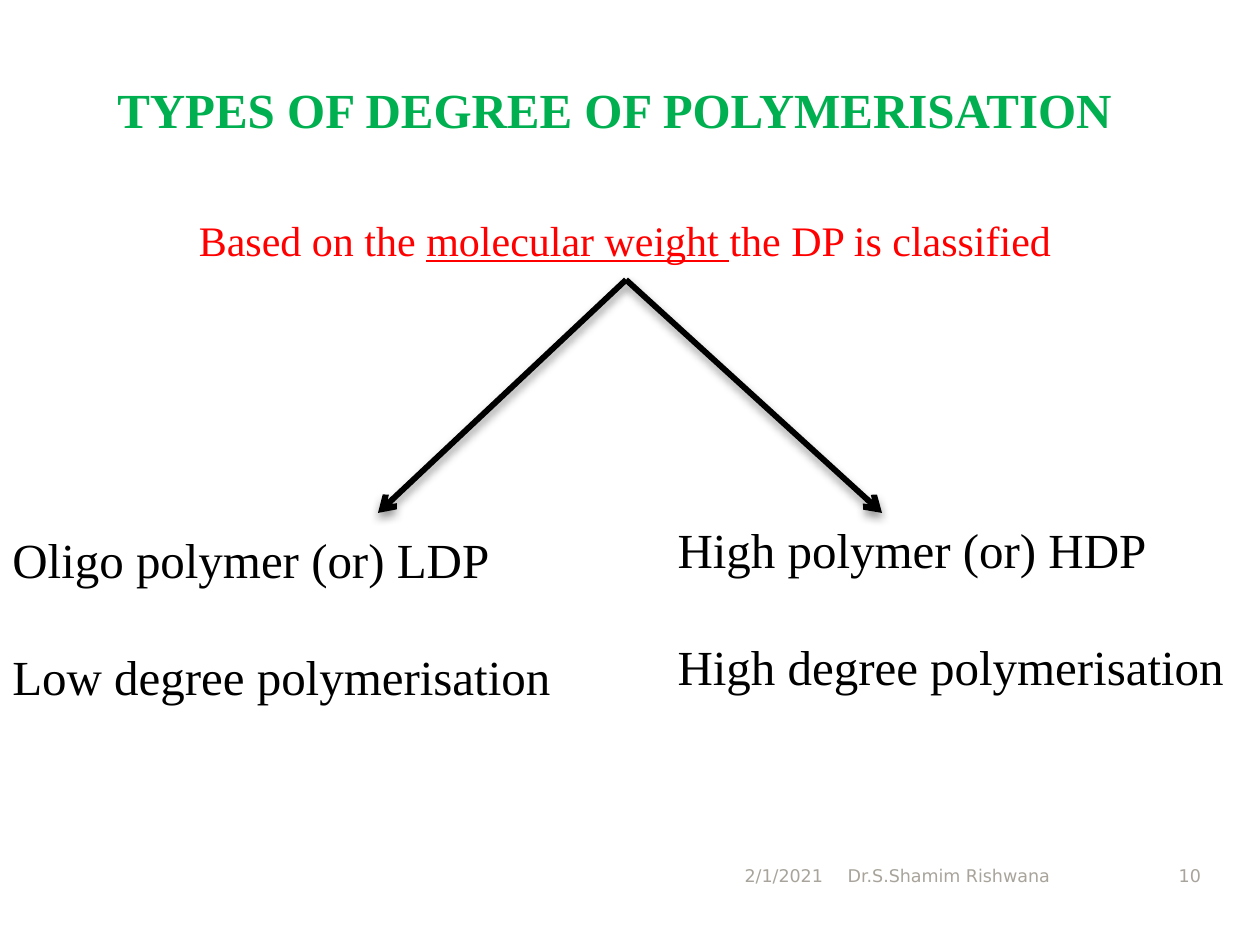
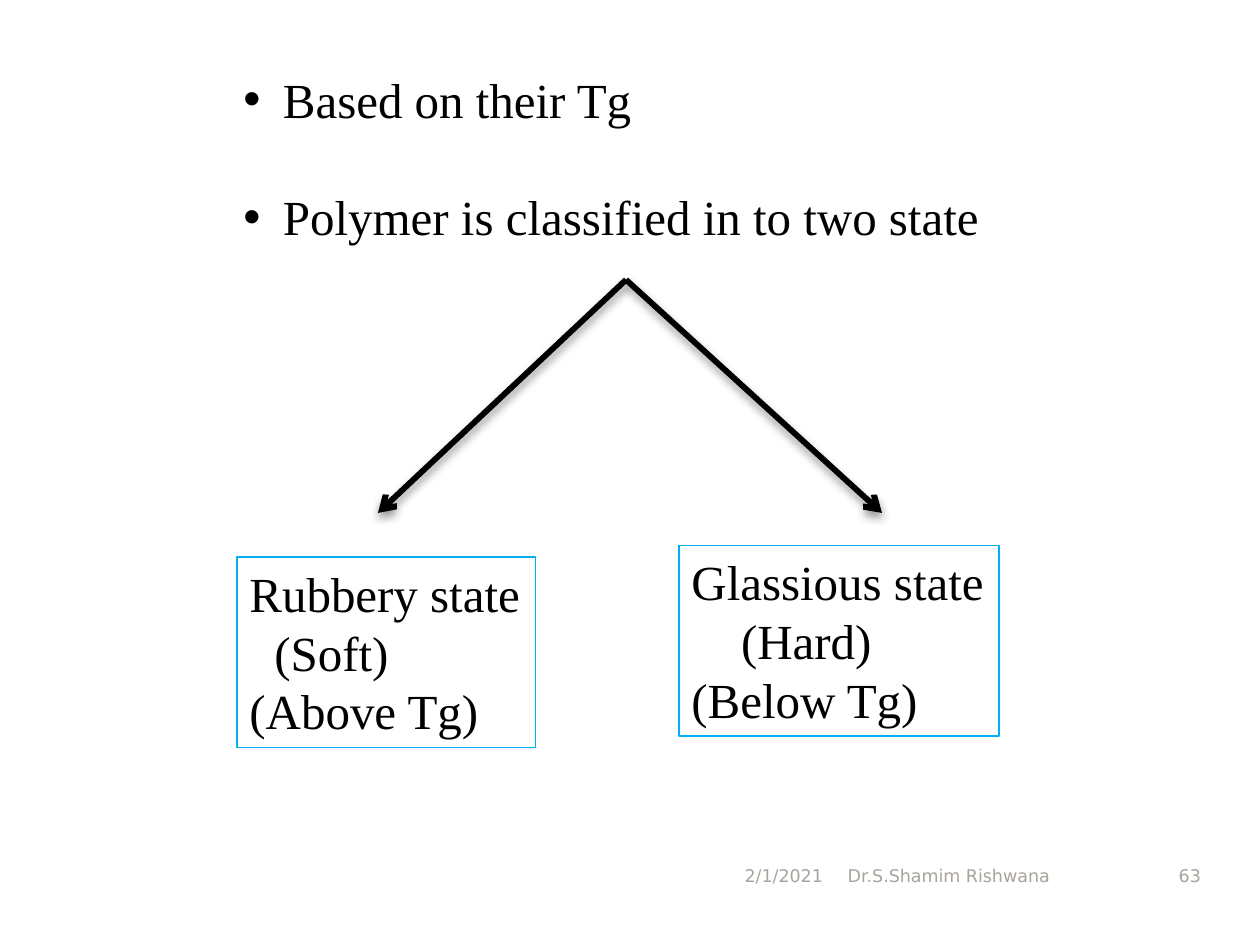
from dataclasses import dataclass

from lxml import etree
from pptx import Presentation
from pptx.dml.color import RGBColor
from pptx.enum.shapes import MSO_CONNECTOR, MSO_SHAPE
from pptx.enum.text import MSO_ANCHOR, MSO_AUTO_SIZE, PP_ALIGN
from pptx.oxml.ns import qn
from pptx.util import Cm, Pt

LEFT, RIGHT = PP_ALIGN.LEFT, PP_ALIGN.RIGHT
TOP, BOTTOM = MSO_ANCHOR.TOP, MSO_ANCHOR.BOTTOM
STRAIGHT, RECTANGLE = MSO_CONNECTOR.STRAIGHT, MSO_SHAPE.RECTANGLE
TITLE_ONLY, TITLE_AND_CONTENT = 5, 1


@dataclass(frozen=True)
class Theme:
    green: RGBColor = RGBColor(0x00, 0xB0, 0x50)
    red: RGBColor = RGBColor(0xFF, 0x00, 0x00)
    blue: RGBColor = RGBColor(0x00, 0xB0, 0xF0)
    black: RGBColor = RGBColor(0x00, 0x00, 0x00)
    grey: RGBColor = RGBColor(0xA8, 0xA4, 0x9B)
    serif: str = "Times New Roman"
    sans: str = "DejaVu Sans"
    large: Pt = Pt(28)
    medium: Pt = Pt(24)
    small: Pt = Pt(10)
    blank_line: Pt = Pt(33.6)
    arrow_width: Pt = Pt(3.35)
    border_width: Pt = Pt(0.75)


THEME = Theme()

# Text formats
BODY = {"name": THEME.serif, "size": THEME.large, "color": THEME.black}
HEADING = {**BODY, "color": THEME.green, "bold": True}
SUBHEADING = {**BODY, "size": THEME.medium, "color": THEME.red}
FOOTER = {"name": THEME.sans, "size": THEME.small, "color": THEME.grey}

# Shared places, in centimetres
FORK = (12.62, 5.64)
ARROW_TIPS = ((7.62, 10.34), (17.78, 10.34))
FOOTER_TOP, FOOTER_HEIGHT = 16.97, 1.02


class SlideBuilder:
    def __init__(self, deck):
        self.deck = deck
        self.slide = None

    def new_slide(self, layout):
        self.slide = self.deck.slides.add_slide(self.deck.slide_layouts[layout])

    def place(self, shape, area):
        for name, value in zip(("left", "top", "width", "height"), area):
            setattr(shape, name, Cm(value))

    def fill_frame(self, frame, paragraphs, style, gap=Pt(0), align=LEFT, anchor=TOP):
        """Fill a frame; each paragraph is a list of (text, extra format) spans."""
        settings = {"word_wrap": True, "auto_size": MSO_AUTO_SIZE.NONE,
                    "vertical_anchor": anchor}
        for name, value in settings.items():
            setattr(frame, name, value)
        for index, spans in enumerate(paragraphs):
            para = frame.add_paragraph() if index else frame.paragraphs[0]
            para.alignment = align
            para.space_before = gap if index else Pt(0)
            for text, extra in spans:
                span = para.add_run()
                span.text = text
                for name, value in {**style, **extra}.items():
                    if name == "color":
                        span.font.color.rgb = value
                    else:
                        setattr(span.font, name, value)

    def indent(self, para, margin, first=0):
        properties = para._p.get_or_add_pPr()
        properties.set("marL", str(Cm(margin)))
        properties.set("indent", str(Cm(first)))
        return properties

    def title(self, text, area):
        shape = self.slide.shapes.title
        self.place(shape, area)
        self.fill_frame(shape.text_frame, [[(text, {})]], HEADING)

    def bullets(self, lines, area):
        body = self.slide.placeholders[1]
        self.place(body, area)
        self.fill_frame(body.text_frame, [[(line, {})] for line in lines], BODY,
                        gap=THEME.blank_line)
        for para in body.text_frame.paragraphs:
            properties = self.indent(para, 0.8, -0.8)
            etree.SubElement(properties, qn("a:buFont")).set("typeface", "Arial")
            etree.SubElement(properties, qn("a:buChar")).set("char", "•")

    def text(self, paragraphs, area, style=BODY, **layout):
        box = self.slide.shapes.add_textbox(*map(Cm, area))
        self.fill_frame(box.text_frame, paragraphs, style, **layout)

    def framed_box(self, lines, area, middle_indent):
        box = self.slide.shapes.add_shape(RECTANGLE, *map(Cm, area))
        box.shadow.inherit = False
        box.fill.background()
        box.line.color.rgb = THEME.blue
        box.line.width = THEME.border_width
        self.fill_frame(box.text_frame, [[(line, {})] for line in lines], BODY)
        self.indent(box.text_frame.paragraphs[1], middle_indent)

    def arrow(self, start, end):
        line = self.slide.shapes.add_connector(STRAIGHT, *map(Cm, start + end))
        line.line.color.rgb = THEME.black
        line.line.width = THEME.arrow_width
        properties = line._element.spPr
        etree.SubElement(properties.find(qn("a:ln")), qn("a:tailEnd")).set("type", "arrow")
        # Soft shadow straight below the line
        effects = etree.SubElement(properties, qn("a:effectLst"))
        shadow = etree.SubElement(effects, qn("a:outerShdw"), blurRad=str(Pt(5.2)),
                                  dist=str(Pt(3)), dir="5400000", rotWithShape="0")
        color = etree.SubElement(shadow, qn("a:srgbClr"), val=str(THEME.black))
        etree.SubElement(color, qn("a:alpha"), val="40000")

    def fork(self):
        for tip in ARROW_TIPS:
            self.arrow(FORK, tip)

    def footer(self, number):
        parts = (("2/1/2021", 10.49, 6.35, RIGHT),
                 ("Dr.S.Shamim Rishwana", 16.84, 6.35, LEFT),
                 (str(number), 23.19, 1.27, RIGHT))
        for text, left, width, align in parts:
            self.text([[(text, {})]], (left, FOOTER_TOP, width, FOOTER_HEIGHT),
                      FOOTER, align=align, anchor=BOTTOM)


def degree_types(builder):
    builder.new_slide(TITLE_ONLY)
    builder.title("TYPES OF DEGREE OF POLYMERISATION", (2.11, 1.47, 21.03, 1.45))
    builder.fork()

    # The two kinds of polymer
    kinds = ((("Oligo polymer (or) LDP", "Low degree polymerisation"),
              (0, 10.54, 11.48, 3.84)),
             (("High polymer (or) HDP", "High degree polymerisation"),
              (13.41, 10.34, 11.63, 3.84)))
    for lines, area in kinds:
        builder.text([[(line, {})] for line in lines], area, gap=THEME.blank_line)

    builder.text([[("Based on the ", {}), ("molecular weight ", {"underline": True}),
                   ("the DP is classified", {})]], (3.76, 4.19, 17.83, 1.27), SUBHEADING)
    builder.footer(10)


def glass_transition_states(builder):
    builder.new_slide(TITLE_AND_CONTENT)
    title = builder.slide.shapes.title._element
    title.getparent().remove(title)
    builder.bullets(("Based on their Tg", "Polymer is classified in to two state"),
                    (4.65, 1.27, 15.47, 3.84))
    builder.fork()

    # The two states
    builder.framed_box(("Rubbery state", "(Soft)", "(Above Tg)"),
                       (4.78, 11.23, 6.02, 3.84), 0.5)
    builder.framed_box(("Glassious state", "(Hard)", "(Below Tg)"),
                       (13.69, 11, 6.45, 3.84), 1)
    builder.footer(63)


def main():
    deck = Presentation()
    deck.slide_width, deck.slide_height = Cm(25.4), Cm(19.05)
    builder = SlideBuilder(deck)
    degree_types(builder)
    glass_transition_states(builder)
    deck.save("out.pptx")


if __name__ == "__main__":
    main()
